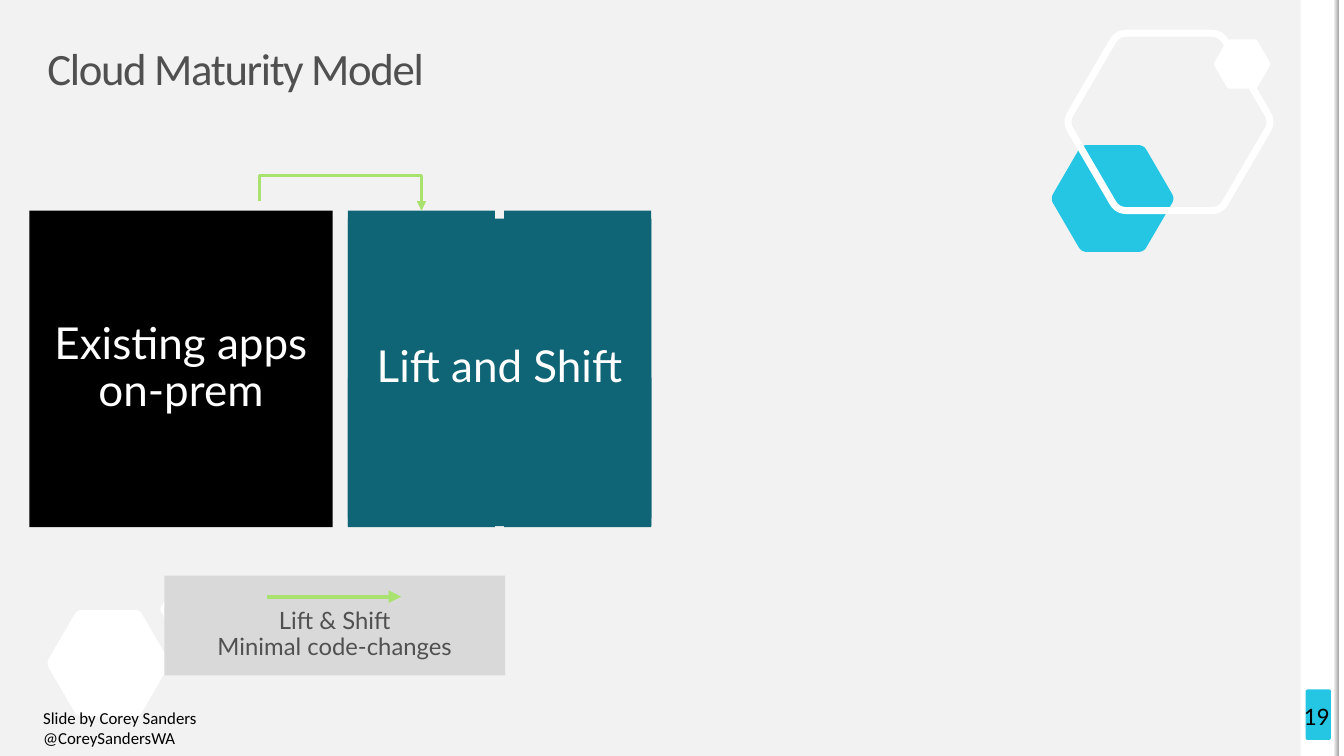
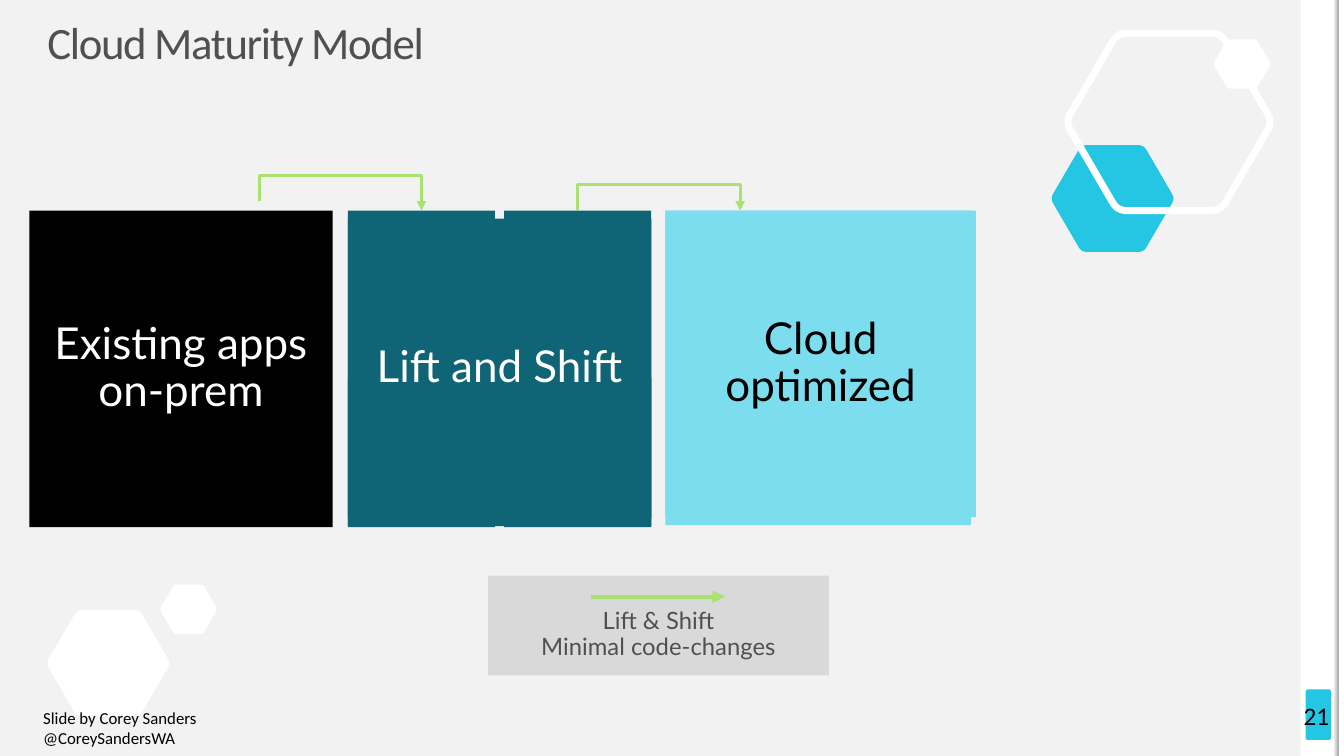
from dataclasses import dataclass
from pptx import Presentation
from pptx.dml.color import RGBColor
from pptx.enum.shapes import MSO_CONNECTOR, MSO_SHAPE
from pptx.enum.text import MSO_ANCHOR, PP_ALIGN
from pptx.oxml.ns import qn
from pptx.oxml.xmlchemy import OxmlElement
from pptx.util import Inches, Pt


@dataclass(frozen=True)
class Theme:
    back: str = "F2F2F2"
    white: str = "FFFFFF"
    black: str = "000000"
    gray: str = "505050"
    pale: str = "D9D9D9"
    edge: str = "A6A6A6"
    cyan: str = "25C6E3"
    teal: str = "0F6575"
    sky: str = "7CDDEE"
    green: str = "A9E26F"
    head: str = "Calibri"
    body: str = "Lato"
    title: float = 32
    panel: float = 31.4
    legend: float = 17
    page: float = 18
    credit: float = 12


T = Theme()

# Content: panel = lines, fill, ink, main box, backing tiles
PANELS = {
    "prem": (["Existing apps", "on-prem"], T.black, T.white,
             (0.29, 2.09, 3.01, 3.14), []),
    "lift": (["Lift and Shift"], T.teal, T.white, (3.45, 2.17, 3.01, 2.97),
             [(3.45, 2.09, 1.46, 3.14), (5, 2.09, 1.46, 3.14),
              (3.45, 3.75, 3.01, 1.47)]),
    "cloud": (["Cloud optimized"], T.sky, T.black, (6.6, 2.09, 3.08, 3.04),
              [(6.6, 2.09, 3.03, 3.12)]),
}
TITLE = "Cloud Maturity Model"
LEGEND = ["Lift & Shift", "Minimal code-changes"]
CREDIT = "Slide by Corey Sanders @CoreySandersWA"
# Jumps: start x, start y, end x, end y
FIRST = (2.57, 1.99, 4.18, 2.09)
SECOND = (5.73, 2.08, 7.34, 2.09)
SLIDES = [
    dict(page="19", top=0.47, panels=["prem", "lift"], jumps=[FIRST],
         legend=1.63),
    dict(page="21", top=0.21, panels=["prem", "lift", "cloud"],
         jumps=[FIRST, SECOND], legend=4.84),
]
# Hexagons: box, fill (None = white outline)
HEXES = [
    ((0.47, 6.05, 1.21, 1.06), T.white),
    ((10.43, 1.44, 1.21, 1.06), T.cyan),
    ((10.59, 0.33, 2.01, 1.76), None),
    ((1.59, 5.8, 0.56, 0.49), T.white),
    ((12.04, 0.39, 0.56, 0.49), T.white),
]


def rgb(code):
    return RGBColor.from_string(code)


def inch(box):
    return [Inches(v) for v in box]


# Text
def write(shape, lines, size, font, ink, inset=None, anchor=MSO_ANCHOR.MIDDLE,
          align=PP_ALIGN.LEFT, gap=0.9):
    frame = shape.text_frame
    frame.word_wrap = True
    frame.vertical_anchor = anchor
    if inset:
        side, edge = inch(inset)
        frame.margin_left = frame.margin_right = side
        frame.margin_top = frame.margin_bottom = edge
    for i, line in enumerate(lines):
        para = frame.add_paragraph() if i else frame.paragraphs[0]
        para.alignment, para.line_spacing = align, gap
        run = para.add_run()
        run.text = line
        run.font.size, run.font.name = Pt(size), font
        run.font.color.rgb = rgb(ink)
    return frame


# Shapes
def block(slide, box, fill, kind=MSO_SHAPE.RECTANGLE):
    shape = slide.shapes.add_shape(kind, *inch(box))
    shape.shadow.inherit = False
    shape.line.fill.background()
    shape.fill.solid()
    shape.fill.fore_color.rgb = rgb(fill)
    return shape


def hexagon(slide, box, fill):
    left, top, wide, high = box
    mx, my = left + wide / 2, top + high / 2
    ring = [(0.255, -0.5), (0.51, 0), (0.255, 0.5),
            (-0.255, 0.5), (-0.51, 0), (-0.255, -0.5)]
    ring = [(mx + x * wide, my + y * high) for x, y in ring]
    points = []
    for i, tip in enumerate(ring):
        near, far = ring[i - 1], ring[(i + 1) % 6]
        a, b = [[t + 0.09 * (e - t) for t, e in zip(tip, end)]
                for end in (near, far)]
        for step in range(7):  # round the corner
            u = step / 6
            points.append([Inches((1 - u) ** 2 * p + 2 * u * (1 - u) * t
                                  + u * u * q) for p, t, q in zip(a, tip, b)])
    path = slide.shapes.build_freeform(*points[0])
    path.add_line_segments(points[1:], close=True)
    shape = path.convert_to_shape()
    shape.shadow.inherit = False
    if fill:
        shape.fill.solid()
        shape.fill.fore_color.rgb = rgb(fill)
        shape.line.fill.background()
    else:
        shape.fill.background()
        shape.line.color.rgb, shape.line.width = rgb(T.white), Pt(5)


def arrow(slide, kind, ends, width):
    line = slide.shapes.add_connector(kind, *inch(ends))
    line.line.color.rgb, line.line.width = rgb(T.green), Pt(width)
    props = line.element.spPr
    tip = OxmlElement("a:tailEnd")
    tip.set("type", "triangle")
    props.find(qn("a:ln")).append(tip)
    props.append(OxmlElement("a:effectLst"))
    return props


def jump(slide, x1, y1, x2, y2, rise=0.25):
    # An elbow turned a quarter so that it leaves upward and lands downward
    mx, my = (x1 + x2) / 2, (y1 + y2) / 2
    drop, span = y2 - y1, x2 - x1
    ends = (mx + drop / 2, my - span / 2, mx - drop / 2, my + span / 2)
    props = arrow(slide, MSO_CONNECTOR.ELBOW, ends, 2.25)
    props.find(qn("a:xfrm")).set("rot", str(270 * 60000))
    guide = OxmlElement("a:gd")
    guide.set("name", "adj1")
    guide.set("fmla", f"val {round(-rise / drop * 100000)}")
    geom = props.find(qn("a:prstGeom"))
    geom.get_or_add_avLst().append(guide)


# Shared parts
def frame(slide, page, top):
    block(slide, (12.9, 0, 0.39, 7.5), T.white)
    tab = block(slide, (12.95, 6.84, 0.25, 0.5), T.cyan,
                MSO_SHAPE.ROUNDED_RECTANGLE)
    tab.adjustments[0] = 0.07
    block(slide, (13.28, 0, 0.05, 7.5), T.white)
    strip = block(slide, (13.23, 0, 0.05, 7.5), T.back)
    strip.fill.gradient()
    strip.fill.gradient_angle = 0
    for stop, code in zip(strip.fill.gradient_stops, (T.back, T.edge)):
        stop.color.rgb = rgb(code)
    for box, fill in HEXES:
        hexagon(slide, box, fill)
    title = slide.shapes.title
    title.left, title.top, title.width, title.height = inch(
        (0.47, top, 12.39, 0.47))
    text = write(title, [TITLE], T.title, T.head, T.gray, (0, 0))
    text.paragraphs[0].runs[0].font._element.set("spc", "-100")
    num = slide.shapes.add_textbox(*inch((12.83, 6.88, 0.51, 0.44)))
    write(num, [page], T.page, T.head, T.black, gap=1)


def panel(slide, lines, fill, ink, box, tiles):
    for tile in tiles:
        block(slide, tile, fill)
    write(block(slide, box, fill), lines, T.panel, T.body, ink, (0.19, 0.15),
          align=PP_ALIGN.CENTER)


def legend(slide, left):
    box = block(slide, (left, 5.71, 3.38, 0.99), T.pale)
    write(box, LEGEND, T.legend, T.body, T.gray, (0.19, 0.15),
          MSO_ANCHOR.BOTTOM, PP_ALIGN.CENTER)
    arrow(slide, MSO_CONNECTOR.STRAIGHT,
          (left + 1.02, 5.92, left + 2.35, 5.92), 3)


def main():
    prs = Presentation()
    prs.slide_width, prs.slide_height = Inches(13.33), Inches(7.5)
    ground = prs.slide_master.background.fill
    ground.solid()
    ground.fore_color.rgb = rgb(T.back)
    for data in SLIDES:
        slide = prs.slides.add_slide(prs.slide_layouts[5])
        frame(slide, data["page"], data["top"])
        for name in data["panels"]:
            panel(slide, *PANELS[name])
        for ends in data["jumps"]:
            jump(slide, *ends)
        legend(slide, data["legend"])
        credit = slide.shapes.add_textbox(*inch((0.33, 6.97, 2.6, 0.5)))
        write(credit, [CREDIT], T.credit, T.head, T.black,
              anchor=MSO_ANCHOR.TOP, gap=1)
    prs.save("out.pptx")


if __name__ == "__main__":
    main()
